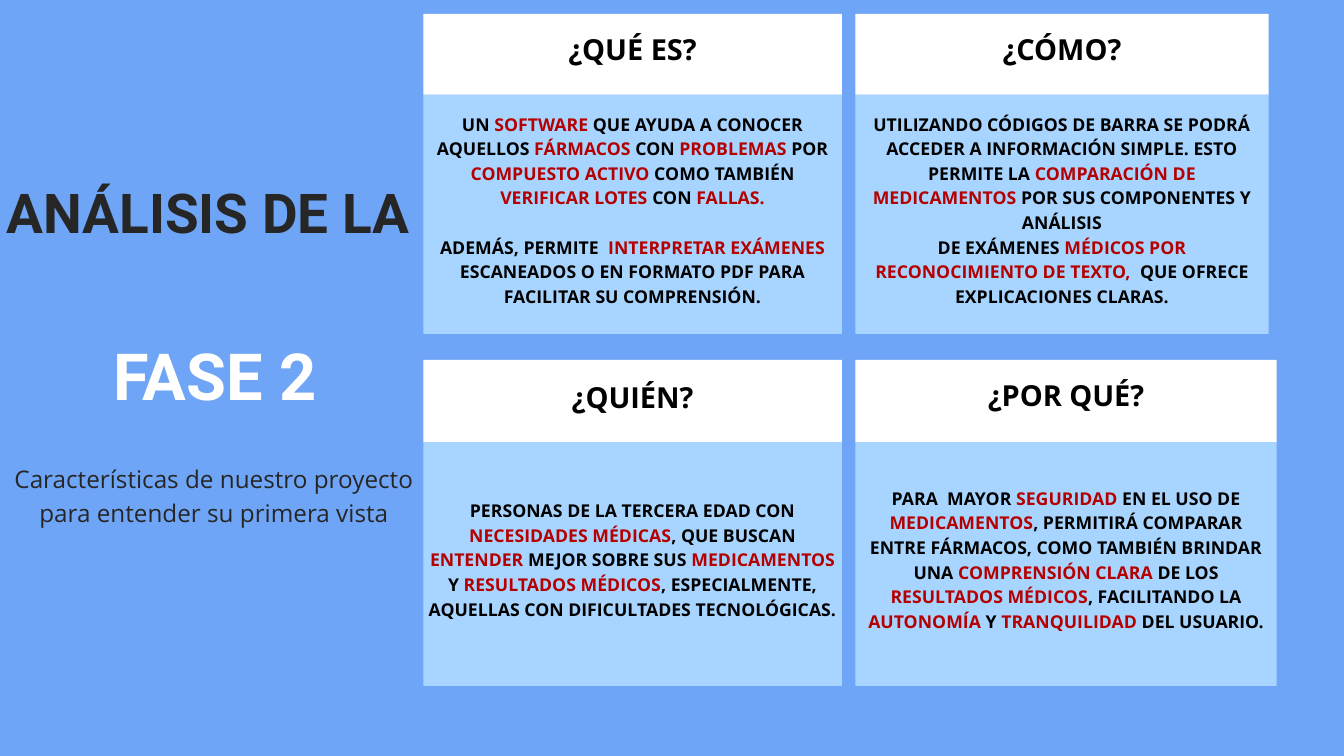
from pptx import Presentation
from pptx.dml.color import RGBColor
from pptx.enum.shapes import MSO_SHAPE
from pptx.enum.text import MSO_ANCHOR, PP_ALIGN
from pptx.util import Cm, Pt

BLUE, PALE_BLUE, WHITE = "6FA5F6", "A8D5FF", "FFFFFF"
BLACK, CHARCOAL, RED = "000000", "272626", "B40000"

TITLE = {"name": "Roboto", "size": Pt(58.8), "bold": True}
PHASE = {"name": "Roboto", "size": Pt(69.6), "bold": True}
SUBTITLE = {"name": "Open Sans", "size": Pt(26), "bold": False}
HEADING = {"name": "Open Sans", "size": Pt(31), "bold": True}
BODY = {"name": "Open Sans", "size": Pt(18.9), "bold": True}

BODY_LEADING = 26.4
BODY_RISE = 0.44
LEFT_COLUMN, RIGHT_COLUMN = 16, 32.33
TOP_ROW, BOTTOM_ROW = (0.53, 3.05, 9.04), (13.61, 3.1, 9.22)

# Asterisks enclose the highlighted words.
CARDS = [
    (LEFT_COLUMN, 15.82, TOP_ROW, 0.61, 0.15, BODY_LEADING, "¿QUÉ ES?", [
        "UN *SOFTWARE *QUE AYUDA A CONOCER AQUELLOS *FÁRMACOS *CON *PROBLEMAS *POR "
        "*COMPUESTO ACTIVO *COMO TAMBIÉN *VERIFICAR LOTES *CON *FALLAS.*",
        "ADEMÁS, PERMITE  *INTERPRETAR EXÁMENES *ESCANEADOS O EN FORMATO PDF PARA "
        "FACILITAR SU COMPRENSIÓN."]),
    (LEFT_COLUMN, 15.82, BOTTOM_ROW, 0.56, 0.15, 0, "¿QUIÉN?", [
        "PERSONAS DE LA TERCERA EDAD CON *NECESIDADES MÉDICAS*, QUE BUSCAN *ENTENDER "
        "*MEJOR SOBRE SUS *MEDICAMENTOS *Y *RESULTADOS MÉDICOS*, ESPECIALMENTE, "
        "AQUELLAS CON DIFICULTADES TECNOLÓGICAS."]),
    (RIGHT_COLUMN, 15.62, TOP_ROW, 0.66, 0.15, 0, "¿CÓMO?", [
        "UTILIZANDO CÓDIGOS DE BARRA SE PODRÁ ACCEDER A INFORMACIÓN SIMPLE. ESTO "
        "PERMITE LA *COMPARACIÓN DE MEDICAMENTOS* POR SUS COMPONENTES Y ANÁLISIS",
        "DE EXÁMENES *MÉDICOS POR RECONOCIMIENTO DE TEXTO,  *QUE OFRECE "
        "EXPLICACIONES CLARAS."]),
    (RIGHT_COLUMN, 15.93, BOTTOM_ROW, 0.69, 0.18, 0, "¿POR QUÉ?", [
        "PARA  MAYOR *SEGURIDAD *EN EL USO DE *MEDICAMENTOS*, PERMITIRÁ COMPARAR "
        "ENTRE FÁRMACOS, COMO TAMBIÉN BRINDAR UNA *COMPRENSIÓN CLARA *DE LOS "
        "*RESULTADOS MÉDICOS*, FACILITANDO LA *AUTONOMÍA *Y *TRANQUILIDAD *DEL USUARIO."]),
]


def colour(value):
    """Return the colour for a hex string."""
    return RGBColor.from_string(value)


def apply(target, values):
    """Set every attribute in values on target."""
    for name, value in values.items():
        setattr(target, name, value)


def write(frame, paragraphs, style, ink, leading, inset=0, gap=0, anchor=MSO_ANCHOR.TOP):
    """Fill a text frame with centred paragraphs, highlighting marked words."""
    margins = ("margin_left", "margin_top", "margin_right", "margin_bottom")
    apply(frame, dict.fromkeys(margins, Cm(inset)))
    apply(frame, {"word_wrap": True, "vertical_anchor": anchor})
    for index, wording in enumerate(paragraphs):
        paragraph = frame.add_paragraph() if index else frame.paragraphs[0]
        apply(paragraph, {"alignment": PP_ALIGN.CENTER, "line_spacing": Pt(leading),
                          "space_before": Pt(gap if index else 0)})
        for part, words in enumerate(wording.split("*")):
            if words:
                run = paragraph.add_run()
                run.text = words
                apply(run.font, style)
                run.font.color.rgb = colour(RED if part % 2 else ink)


def add_title(slide, box, wording, leading):
    """Place and format the title placeholder."""
    title = slide.shapes.title
    apply(title, dict(zip(("left", "top", "width", "height"), map(Cm, box))))
    write(title.text_frame, [wording], TITLE, CHARCOAL, leading)


def add_text(slide, box, paragraphs, style, ink, leading, **layout):
    """Add a text box."""
    frame = slide.shapes.add_textbox(*map(Cm, box)).text_frame
    write(frame, paragraphs, style, ink, leading, **layout)


def add_panel(slide, box, fill):
    """Add a plain filled rectangle."""
    panel = slide.shapes.add_shape(MSO_SHAPE.RECTANGLE, *map(Cm, box))
    panel.shadow.inherit = False
    panel.fill.solid()
    panel.fill.fore_color.rgb = colour(fill)
    panel.line.fill.background()


def add_card(slide, left, width, row, heading_rise, inset, gap, heading, answer):
    """Add a question panel above its answer panel."""
    top, heading_height, body_height = row
    body_top = top + heading_height
    layout = {"inset": inset, "anchor": MSO_ANCHOR.MIDDLE}
    add_panel(slide, (left, body_top, width, body_height), PALE_BLUE)
    add_text(slide, (left, body_top - BODY_RISE, width, body_height + BODY_RISE),
             answer, BODY, BLACK, BODY_LEADING, gap=gap, **layout)
    add_panel(slide, (left, top, width, heading_height), WHITE)
    add_text(slide, (left, top - heading_rise, width, heading_height + heading_rise),
             [heading], HEADING, BLACK, 43.4, **layout)


def main():
    """Build and save the slide."""
    deck = Presentation()
    apply(deck, {"slide_width": Cm(50.8), "slide_height": Cm(28.58)})
    slide = deck.slides.add_slide(deck.slide_layouts[5])
    slide.background.fill.solid()
    slide.background.fill.fore_color.rgb = colour(BLUE)
    add_text(slide, (0.43, 17.35, 15.32, 2.51),
             ["Características de nuestro proyecto para entender su primera vista"],
             SUBTITLE, CHARCOAL, 36.4)
    add_title(slide, (0, 6.32, 16.26, 5.69), "ANÁLISIS DE LA ", 82.4)
    add_text(slide, (0.2, 12.19, 15.85, 3.35), ["FASE 2"], PHASE, WHITE, 97.4)
    for card in CARDS:
        add_card(slide, *card)
    deck.save("out.pptx")


if __name__ == "__main__":
    main()
